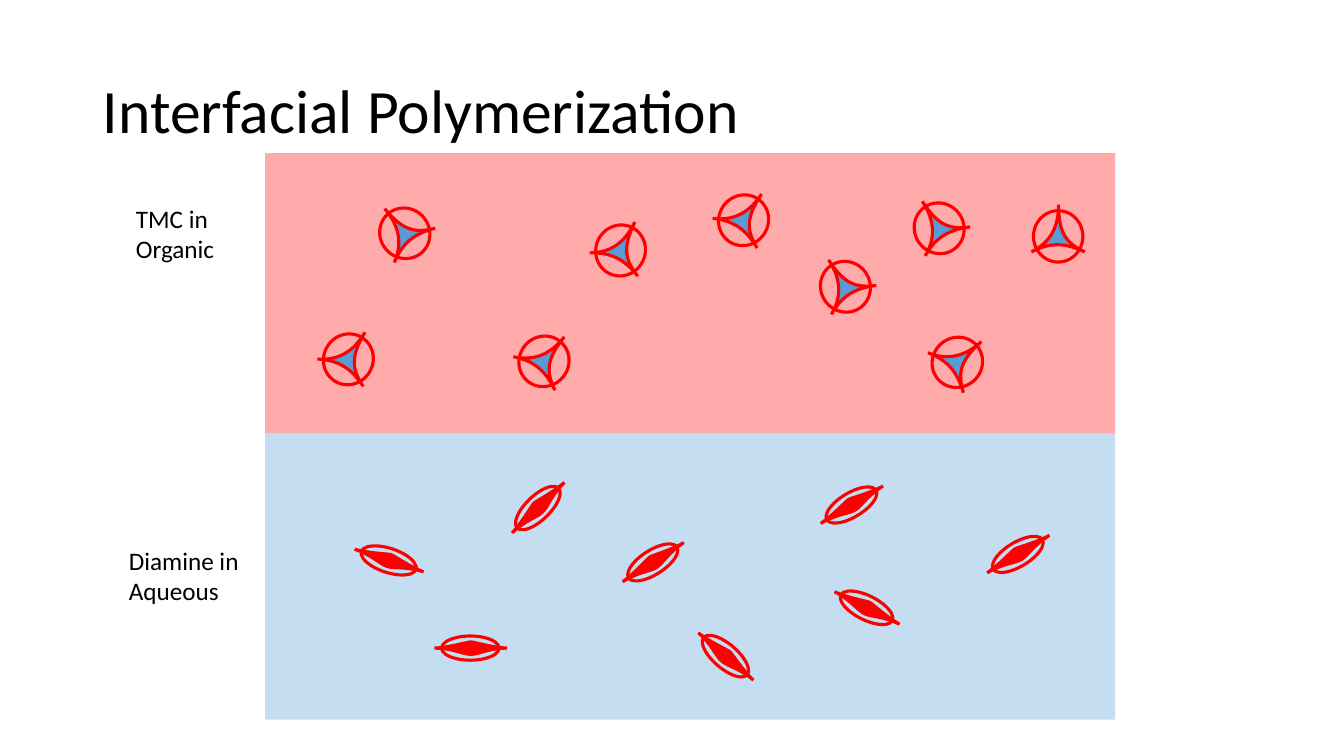
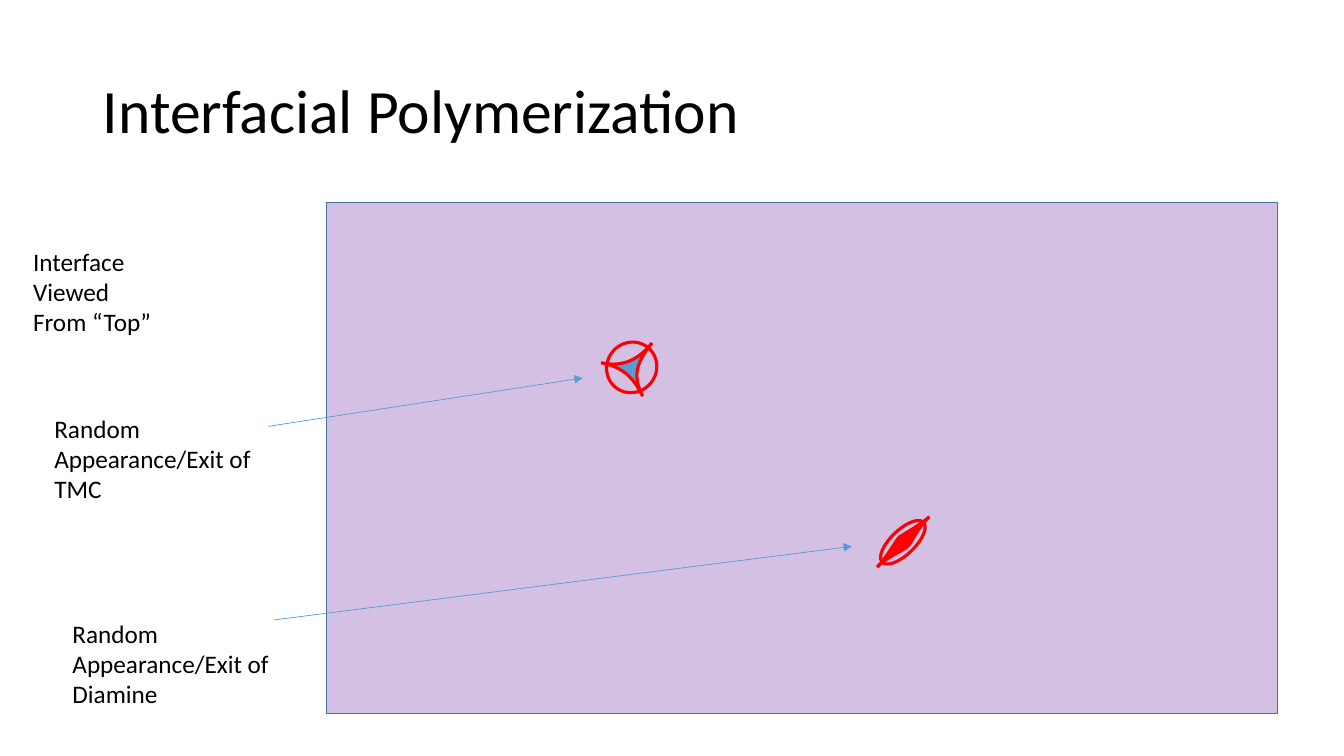
from dataclasses import dataclass

from lxml import etree
from pptx import Presentation
from pptx.dml.color import RGBColor
from pptx.enum.shapes import MSO_CONNECTOR, MSO_SHAPE
from pptx.enum.text import MSO_ANCHOR, MSO_AUTO_SIZE, PP_ALIGN
from pptx.oxml.ns import qn
from pptx.util import Inches, Pt

RECTANGLE = MSO_SHAPE.RECTANGLE
OVAL = MSO_SHAPE.OVAL
STRAIGHT = MSO_CONNECTOR.STRAIGHT
MIDDLE = MSO_ANCHOR.MIDDLE
LEFT = PP_ALIGN.LEFT
FIT_SHAPE = MSO_AUTO_SIZE.SHAPE_TO_FIT_TEXT
TITLE_ONLY = 5


@dataclass(frozen=True)
class Theme:
    font: str = "Calibri"
    title_size: float = 44
    label_size: float = 18
    text: str = "000000"
    aqueous: str = "0070C0"
    organic: str = "FF0000"
    interface: str = "7030A0"
    interface_edge: str = "43739E"
    molecule: str = "FF0000"
    core: str = "5B9BD5"
    arrow: str = "5B9BD5"
    molecule_line: float = 2.25
    arrow_line: float = 0.5


@dataclass(frozen=True)
class Molecule:
    """Outlines in inches from the top left of the ring's box; each is a
    start point followed by cubic curves of three points."""
    ring: tuple
    outlines: tuple
    core: str


THEME = Theme()

TMC = Molecule(
    ring=(0.49, 0.51),
    outlines=((
        (-0.02, 0.41),
        (0.18, 0.31), (0.25, 0.15), (0.25, -0.06),
        (0.25, 0.22), (0.32, 0.32), (0.51, 0.41),
        (0.32, 0.32), (0.17, 0.31), (-0.02, 0.41),
    ),),
    core=THEME.core,
)

RIGHT_HALF = (
    (0.24, 0.11),
    (0.25, 0.09), (0.23, 0.06), (0.3, 0.06),
    (0.37, 0.07), (0.49, 0.11), (0.65, 0.12),
    (0.47, 0.12), (0.37, 0.18), (0.3, 0.18),
    (0.23, 0.18), (0.24, 0.14), (0.24, 0.11),
)
DIAMINE = Molecule(
    ring=(0.57, 0.24),
    outlines=(RIGHT_HALF, tuple((0.58 - x, y) for x, y in RIGHT_HALF)),
    core=THEME.molecule,
)


class Deck:
    def __init__(self, theme):
        self.theme = theme
        self.prs = Presentation()
        self.prs.slide_width = Inches(13.33)
        self.prs.slide_height = Inches(7.5)
        self.slide = None

    def add_slide(self, title):
        self.slide = self.prs.slides.add_slide(self.prs.slide_layouts[TITLE_ONLY])
        heading = self.slide.shapes.title
        heading.left, heading.top = Inches(0.92), Inches(0.4)
        heading.width, heading.height = Inches(11.5), Inches(1.45)
        heading.text_frame.vertical_anchor = MIDDLE
        self._write(heading.text_frame, title, self.theme.title_size)
        heading.text_frame.paragraphs[0].line_spacing = 0.9

    def _write(self, frame, text, size):
        frame.text = text
        frame.word_wrap = True
        paragraph = frame.paragraphs[0]
        paragraph.alignment = LEFT
        for run in paragraph.runs:
            run.font.name = self.theme.font
            run.font.size = Pt(size)
            run.font.color.rgb = RGBColor.from_string(self.theme.text)

    def label(self, text, left, top, width, height):
        box = self.slide.shapes.add_textbox(
            Inches(left), Inches(top), Inches(width), Inches(height))
        self._write(box.text_frame, text, self.theme.label_size)
        box.text_frame.auto_size = FIT_SHAPE

    def _paint(self, shape, fill=None, line=None, width=1.0):
        shape.shadow.inherit = False
        if fill:
            shape.fill.solid()
            shape.fill.fore_color.rgb = RGBColor.from_string(fill)
        else:
            shape.fill.background()
        if line:
            shape.line.color.rgb = RGBColor.from_string(line)
            shape.line.width = Pt(width)
            corner = etree.SubElement(shape.line._get_or_add_ln(), qn("a:miter"))
            corner.set("lim", "800000")
        else:
            shape.line.fill.background()

    def region(self, left, top, width, height, fill, opacity, line=None):
        """A see-through rectangle; opacity is a percentage."""
        area = self.slide.shapes.add_shape(
            RECTANGLE, Inches(left), Inches(top), Inches(width), Inches(height))
        self._paint(area, fill, line)
        color = area.fill._xPr.find(qn("a:solidFill"))[0]
        etree.SubElement(color, qn("a:alpha")).set("val", str(opacity * 1000))

    def _curved_shape(self, shapes, points):
        """A closed freeform whose sides are cubic curves."""
        builder = shapes.build_freeform(*points[0])
        builder.add_line_segments(points[3::3], close=True)
        outline = builder.convert_to_shape()
        # Bend each straight side into its curve
        sides = list(outline._element.iter(qn("a:lnTo")))
        for index, side in enumerate(sides):
            side.tag = qn("a:cubicBezTo")
            side.clear()
            for x, y in points[3 * index + 1:3 * index + 4]:
                point = etree.SubElement(side, qn("a:pt"))
                point.set("x", str(x - outline.left))
                point.set("y", str(y - outline.top))
        return outline

    def molecule(self, kind, left, top, angle=0):
        """A ring with its core, turned as one group about the ring's centre."""
        theme = self.theme
        group = self.slide.shapes.add_group_shape()
        ring = group.shapes.add_shape(
            OVAL, Inches(left), Inches(top), *(Inches(side) for side in kind.ring))
        self._paint(ring, None, theme.molecule, theme.molecule_line)
        for outline in kind.outlines:
            points = [(Inches(left + x), Inches(top + y)) for x, y in outline]
            core = self._curved_shape(group.shapes, points)
            self._paint(core, kind.core, theme.molecule, theme.molecule_line)
        group.rotation = angle

    def arrow(self, start, end):
        pointer = self.slide.shapes.add_connector(
            STRAIGHT, *(Inches(value) for value in start + end))
        pointer.line.color.rgb = RGBColor.from_string(self.theme.arrow)
        pointer.line.width = Pt(self.theme.arrow_line)
        line = pointer.line._get_or_add_ln()
        etree.SubElement(line, qn("a:tailEnd")).set("type", "triangle")
        etree.SubElement(pointer._element.spPr, qn("a:effectLst"))


def two_phases(deck):
    theme = deck.theme
    deck.add_slide("Interfacial Polymerization")

    # Aqueous phase below, organic phase above
    deck.region(2.63, 4.3, 8.43, 2.84, theme.aqueous, 23)
    deck.region(2.63, 1.52, 8.43, 2.78, theme.organic, 33)

    # Molecules in each phase: left and top of the ring, angle
    first_tmc = [(5.91, 2.23, 25.8)]
    diamines = [
        (4.38, 6.31, 0), (6.19, 5.46, 327.4), (8.31, 5.91, 26.5),
        (9.81, 5.38, 329), (3.57, 5.44, 18.1), (6.91, 6.39, 40.7),
        (5.05, 4.92, 316), (8.16, 4.89, 329),
    ]
    other_tmcs = [
        (3.77, 2.06, 320), (8.14, 2.59, 327.2), (10.25, 2.09, 0),
        (7.13, 1.93, 33.7), (5.15, 3.33, 38.9), (3.21, 3.31, 30.8),
        (9.25, 3.34, 48.4), (9.07, 2.01, 327.2),
    ]
    for kind, places in ((TMC, first_tmc), (DIAMINE, diamines), (TMC, other_tmcs)):
        for place in places:
            deck.molecule(kind, *place)

    # Phase names
    deck.label("TMC in Organic", 1.25, 1.97, 1.37, 0.71)
    deck.label("Diamine in Aqueous", 1.18, 5.36, 1.37, 0.71)


def interface_from_top(deck):
    theme = deck.theme
    deck.add_slide("Interfacial Polymerization")

    # Interface
    deck.region(3.24, 2.01, 9.43, 5.07, theme.interface, 30, theme.interface_edge)
    deck.label("Interface Viewed From “Top”", 0.23, 2.39, 1.37, 1.01)

    # Molecules that come and go, with their notes
    deck.molecule(TMC, 6.02, 3.39, 38.9)
    deck.label("Random Appearance/Exit of TMC", 0.44, 4.05, 2.32, 1.01)
    deck.molecule(DIAMINE, 8.67, 5.26, 316)
    deck.label("Random Appearance/Exit of Diamine", 0.62, 6.08, 2.32, 1.01)
    deck.arrow((2.66, 4.23), (5.78, 3.75))
    deck.arrow((2.72, 6.15), (8.45, 5.42))


def main():
    deck = Deck(THEME)
    two_phases(deck)
    interface_from_top(deck)
    deck.prs.save("out.pptx")


if __name__ == "__main__":
    main()
